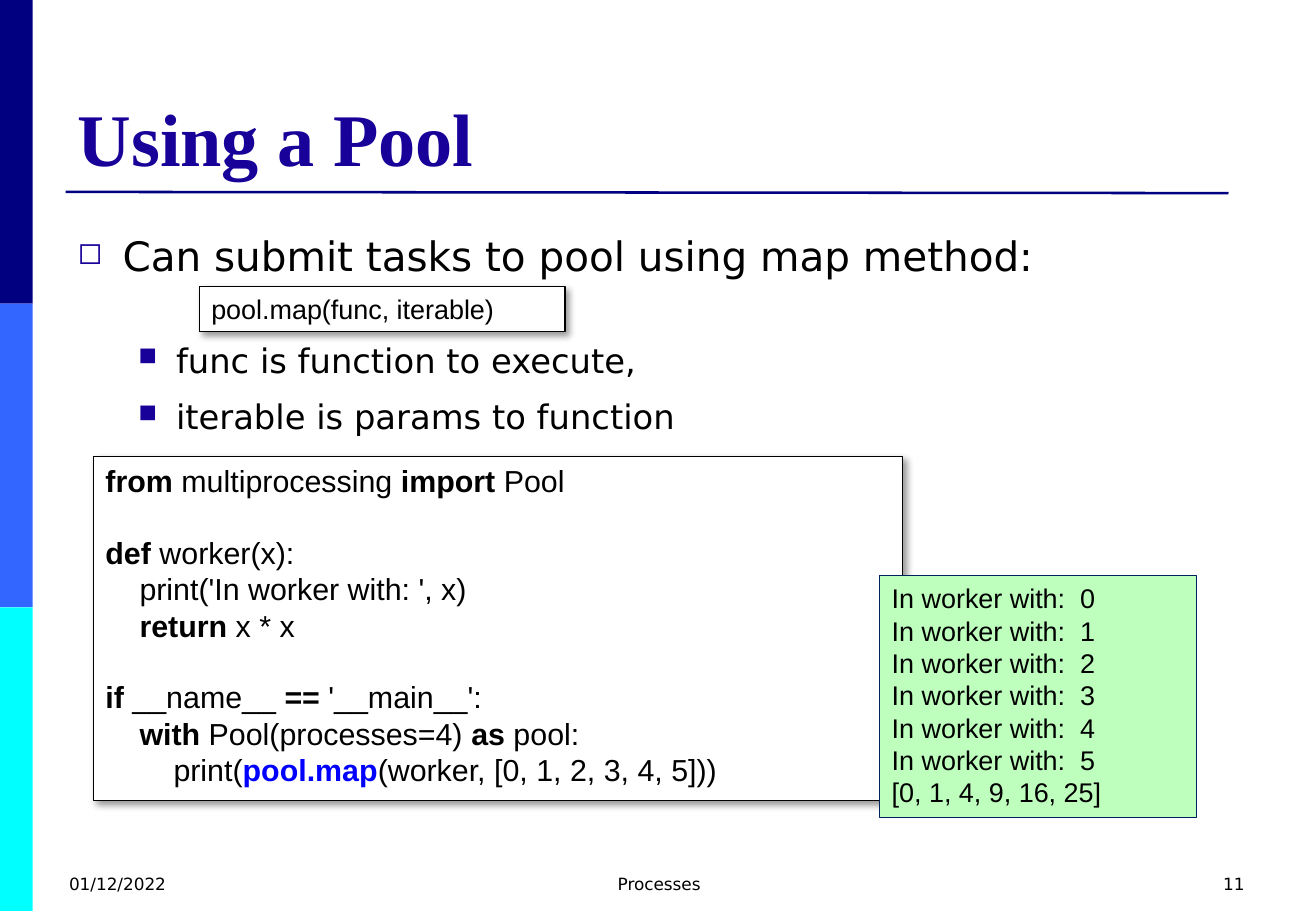
from lxml import etree
from pptx import Presentation
from pptx.dml.color import RGBColor
from pptx.enum.shapes import MSO_CONNECTOR as CONN, MSO_SHAPE as SHAPE
from pptx.enum.text import MSO_ANCHOR as ANCHOR, PP_ALIGN as ALIGN
from pptx.oxml import parse_xml
from pptx.oxml.ns import nsdecls, qn
from pptx.util import Inches, Pt

NAVY, INDIGO, BLACK, WHITE = "000080", "170199", "000000", "FFFFFF"
SANS, CODE, SERIF = "DejaVu Sans", "Arial", "Times New Roman"
CODE_LINES = [
    (0, 0, "**from** multiprocessing **import** Pool"),
    (0, 1, "**def** worker(x):"),
    (1, 0, "print('In worker with: ', x)"),
    (1, 0, "**return** x * x"),
    (0, 1, "**if** __name__ **==** '__main__':"),
    (1, 0, "**with** Pool(processes=4) **as** pool:"),
    (2, 0, "print(**pool.map**(worker, [0, 1, 2, 3, 4, 5]))"),
]


def rgb(color):
    """Turn a hex string into a colour."""
    return RGBColor.from_string(color)


def add_run(p, text, size, font=SANS, color=BLACK, bold=False):
    """Append one styled run to a paragraph."""
    r = p.add_run()
    r.text = text
    r.font.size, r.font.name, r.font.bold = Pt(size), font, bold
    r.font.color.rgb = rgb(color)


def next_paragraph(tf):
    """Return the first paragraph while it is empty, else a new one."""
    return tf.add_paragraph() if tf.paragraphs[0].runs else tf.paragraphs[0]


def add_text_box(s, x, y, w, h, anchor=ANCHOR.TOP):
    """Add a wrapping text box and return its text frame."""
    tf = s.shapes.add_textbox(*map(Inches, (x, y, w, h))).text_frame
    tf.word_wrap = True
    tf.vertical_anchor = anchor
    return tf


def add_label(s, x, y, w, h, text, size=10, align=ALIGN.LEFT, anchor=ANCHOR.TOP, **style):
    """Add a text box that holds a single run."""
    p = add_text_box(s, x, y, w, h, anchor).paragraphs[0]
    p.alignment = align
    add_run(p, text, size, **style)


def add_bullet(tf, text, size, bullet, indent, hang, spacing, before):
    """Add a bulleted paragraph with a hanging indent."""
    p = next_paragraph(tf)
    p.line_spacing, p.space_before = spacing, Pt(before)
    add_run(p, text, size)
    pPr = p._p.get_or_add_pPr()
    pPr.set("marL", str(Inches(indent)))
    pPr.set("indent", str(-Inches(hang)))
    color = etree.SubElement(pPr, qn("a:buClr"))
    etree.SubElement(color, qn("a:srgbClr"), val=INDIGO)
    etree.SubElement(pPr, qn("a:buSzPct"), val="75000")
    etree.SubElement(pPr, qn("a:buChar"), char=bullet)


def add_rect(s, x, y, w, h, fill, line=None):
    """Add a filled rectangle with an optional thin outline."""
    sp = s.shapes.add_shape(SHAPE.RECTANGLE, *map(Inches, (x, y, w, h)))
    sp.shadow.inherit = False
    sp.fill.solid()
    sp.fill.fore_color.rgb = rgb(fill)
    if line:
        sp.line.color.rgb = rgb(line)
        sp.line.width = Pt(0.75)
    else:
        sp.line.fill.background()
    return sp


def add_shadow(sp):
    """Give a shape a soft shadow to the lower right."""
    effects = sp._element.spPr.find(qn("a:effectLst"))
    effects.append(parse_xml(
        f'<a:outerShdw {nsdecls("a")} blurRad="{Pt(4)}" dist="{Pt(3)}" dir="2700000" '
        f'algn="tl" rotWithShape="0"><a:srgbClr val="{BLACK}">'
        '<a:alpha val="40000"/></a:srgbClr></a:outerShdw>'))


def add_code_box(s, x, y, w, h, lines, size, fill=WHITE, line=BLACK, shadow=True):
    """Add a box of code lines given as indent level, gap lines and marked text."""
    sp = add_rect(s, x, y, w, h, fill, line)
    if shadow:
        add_shadow(sp)
    tf = sp.text_frame
    tf.word_wrap = True
    tf.vertical_anchor = ANCHOR.TOP
    for level, gap, text in lines:
        p = next_paragraph(tf)
        p.alignment = ALIGN.LEFT
        p.space_before = Pt(gap * size * 1.15)
        p._p.get_or_add_pPr().set("marL", str(Inches(0.28 * level)))
        for i, part in enumerate(text.split("**")):
            if part:
                bold = i % 2 == 1
                color = "0000FF" if bold and part == "pool.map" else BLACK
                add_run(p, part, size, CODE, color, bold)


def add_rule(s, x1, y1, x2, y2):
    """Add the line under the title."""
    c = s.shapes.add_connector(CONN.STRAIGHT, *map(Inches, (x1, y1, x2, y2)))
    c.line.color.rgb = rgb(NAVY)
    c.line.width = Pt(1.5)
    etree.SubElement(c._element.spPr, qn("a:effectLst"))


def main():
    """Build the slide and save it."""
    prs = Presentation()
    prs.slide_width, prs.slide_height = Inches(10.83), Inches(7.5)
    s = prs.slides.add_slide(prs.slide_layouts[6])

    for i, color in enumerate((NAVY, "3366FF", "00FFFF")):
        add_rect(s, 0, 2.5 * i, 0.27, 2.5, color)
    add_rule(s, 0.54, 1.58, 10.11, 1.59)
    add_label(s, 0.54, 0.3, 9.75, 1.24, "Using a Pool", 44, anchor=ANCHOR.BOTTOM,
              font=SERIF, color=INDIGO, bold=True)

    tf = add_text_box(s, 0.54, 1.75, 9.75, 4.95)
    add_bullet(tf, "Can submit tasks to pool using map method:", 24, "◻", 0.37, 0.37, 1.25, 7)
    for text, before in (("func is function to execute,", 32),
                         ("iterable is params to function", 6)):
        add_bullet(tf, text, 20, "■", 0.81, 0.31, 1.15, before)

    add_label(s, 0.47, 7.14, 2.53, 0.36, "01/12/2022")
    add_label(s, 3.71, 7.14, 3.43, 0.36, "Processes", align=ALIGN.CENTER)
    add_label(s, 7.81, 7.14, 2.53, 0.36, "11", align=ALIGN.RIGHT)

    output = [f"In worker with:  {n}" for n in range(6)] + ["[0, 1, 4, 9, 16, 25]"]
    add_code_box(s, 1.64, 2.36, 3.01, 0.37, [(0, 0, "pool.map(func, iterable)")], 16)
    add_code_box(s, 0.77, 3.76, 6.66, 2.83, CODE_LINES, 18)
    add_code_box(s, 7.24, 4.74, 2.61, 1.99, [(0, 0, text) for text in output], 16,
                 "BEFFBE", "002060", shadow=False)
    prs.save("out.pptx")


if __name__ == "__main__":
    main()
